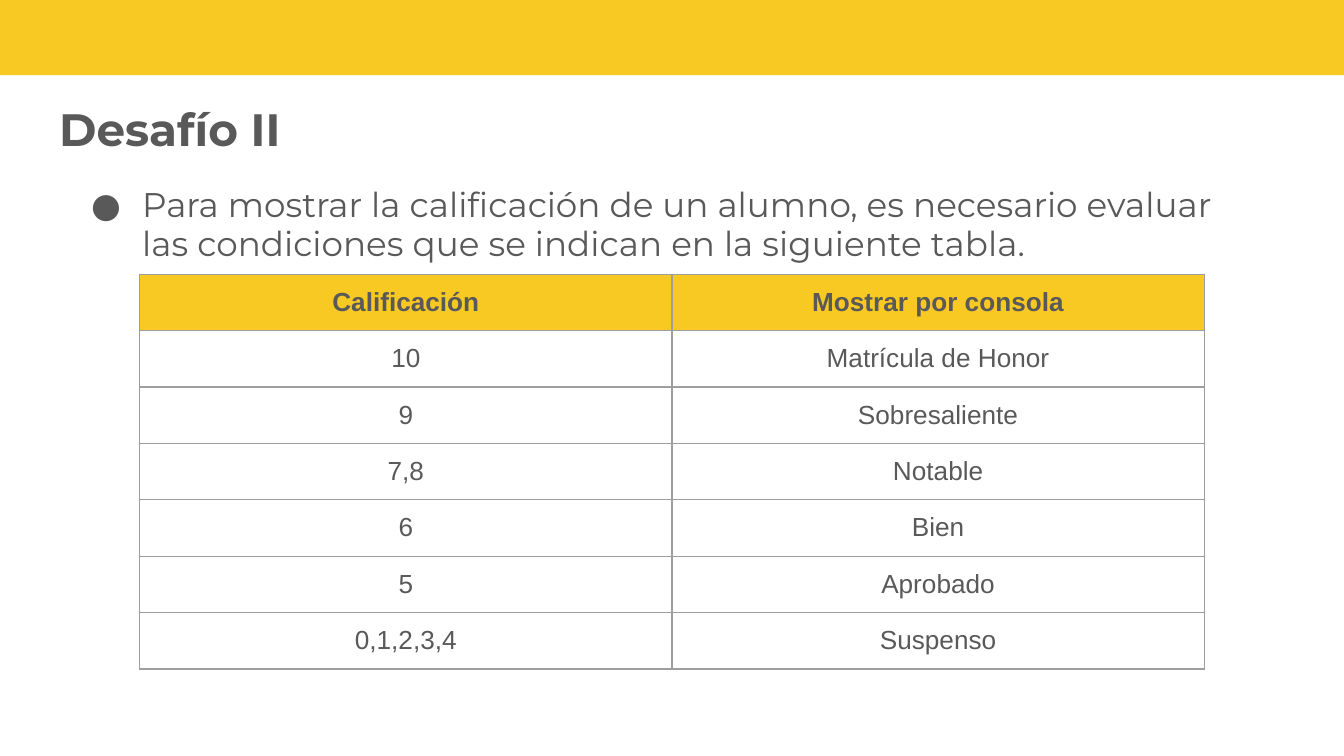
import pptx
import pptx.dml.color
import pptx.enum.shapes
import pptx.enum.text
import pptx.oxml
import pptx.oxml.ns
import pptx.util
from lxml import etree
from pptx.util import Inches

YELLOW, GRAY, BORDER = "F8C823", "595959", "9E9E9E"
ALIGN = pptx.enum.text.PP_ALIGN
GRADES = [
    ("Calificación", "Mostrar por consola"),
    ("10", "Matrícula de Honor"),
    ("9", "Sobresaliente"),
    ("7,8", "Notable"),
    ("6", "Bien"),
    ("5", "Aprobado"),
    ("0,1,2,3,4", "Suspenso"),
]


def color(hex_value):
    return pptx.dml.color.RGBColor.from_string(hex_value)


def add_xml(parent, tag, **attributes):
    return etree.SubElement(parent, pptx.oxml.ns.qn(tag), **attributes)


def style_paragraph(paragraph, size, font_name, bold=False, align=ALIGN.LEFT):
    paragraph.alignment = align
    font = paragraph.font
    font.size, font.name, font.bold = pptx.util.Pt(size), font_name, bold
    font.color.rgb = color(GRAY)


def set_margins(area):
    area.margin_left = area.margin_right = Inches(0.1)
    area.margin_top = area.margin_bottom = Inches(0.1)


def prepare_frame(frame):
    frame.word_wrap = True
    frame.auto_size = pptx.enum.text.MSO_AUTO_SIZE.NONE
    frame.vertical_anchor = pptx.enum.text.MSO_ANCHOR.TOP
    set_margins(frame)


def add_band(slide, left, top, width, height):
    band = slide.shapes.add_shape(
        pptx.enum.shapes.MSO_SHAPE.RECTANGLE,
        Inches(left), Inches(top), Inches(width), Inches(height))
    band.shadow.inherit = False
    band.fill.solid()
    band.fill.fore_color.rgb = color(YELLOW)
    band.line.fill.background()


def place_title(slide, left, top, width, height):
    title = slide.shapes.title
    title.left, title.top = Inches(left), Inches(top)
    title.width, title.height = Inches(width), Inches(height)
    title.text_frame.text = "Desafío II"
    prepare_frame(title.text_frame)
    style_paragraph(title.text_frame.paragraphs[0], 24.3, "Montserrat", bold=True)


def add_instruction(slide, left, top, width, height):
    instruction = slide.shapes.add_textbox(
        Inches(left), Inches(top), Inches(width), Inches(height))
    prepare_frame(instruction.text_frame)
    paragraph = instruction.text_frame.paragraphs[0]
    paragraph.text = ("Para mostrar la calificación de un alumno, es necesario evaluar "
                      "las condiciones que se indican en la siguiente tabla.")
    paragraph.line_spacing = 0.95

    # Hanging bullet
    properties = paragraph._p.get_or_add_pPr()
    properties.set("marL", str(Inches(0.5)))
    properties.set("indent", str(Inches(-0.38)))
    add_xml(add_xml(properties, "a:buClr"), "a:srgbClr", val=GRAY)
    add_xml(properties, "a:buFont", typeface="Montserrat")
    add_xml(properties, "a:buChar", char="●")
    style_paragraph(paragraph, 18.3, "Montserrat")


def add_borders(cell):
    properties = cell._tc.get_or_add_tcPr()
    for position, side in enumerate(("a:lnL", "a:lnR", "a:lnT", "a:lnB")):
        border = pptx.oxml.parse_xml(
            f'<{side} {pptx.oxml.ns.nsdecls("a")} w="{pptx.util.Pt(0.75)}"/>')
        add_xml(add_xml(border, "a:solidFill"), "a:srgbClr", val=BORDER)
        properties.insert(position, border)


def add_grades_table(slide, left, top, width, height):
    table = slide.shapes.add_table(
        len(GRADES), len(GRADES[0]),
        Inches(left), Inches(top), Inches(width), Inches(height)).table
    table.first_row = table.horz_banding = False
    for row_index, grade in enumerate(GRADES):
        is_header = row_index == 0
        for column_index, label in enumerate(grade):
            cell = table.cell(row_index, column_index)
            cell.text = label
            set_margins(cell)
            style_paragraph(cell.text_frame.paragraphs[0], 14, "Arial",
                            bold=is_header, align=ALIGN.CENTER)
            if is_header:
                cell.fill.solid()
                cell.fill.fore_color.rgb = color(YELLOW)
            else:
                cell.fill.background()
            add_borders(cell)


def main():
    presentation = pptx.Presentation()
    # Widescreen, 16:9
    presentation.slide_width = Inches(10)
    presentation.slide_height = Inches(10) * 9 // 16
    slide = presentation.slides.add_slide(presentation.slide_layouts[5])

    add_band(slide, 0, 0, 10, 0.56)
    place_title(slide, 0.34, 0.65, 9.3, 0.63)
    add_instruction(slide, 0.46, 1.29, 9.06, 0.84)
    add_grades_table(slide, 1.04, 2.04, 7.92, 2.94)

    presentation.save("out.pptx")


if __name__ == "__main__":
    main()
